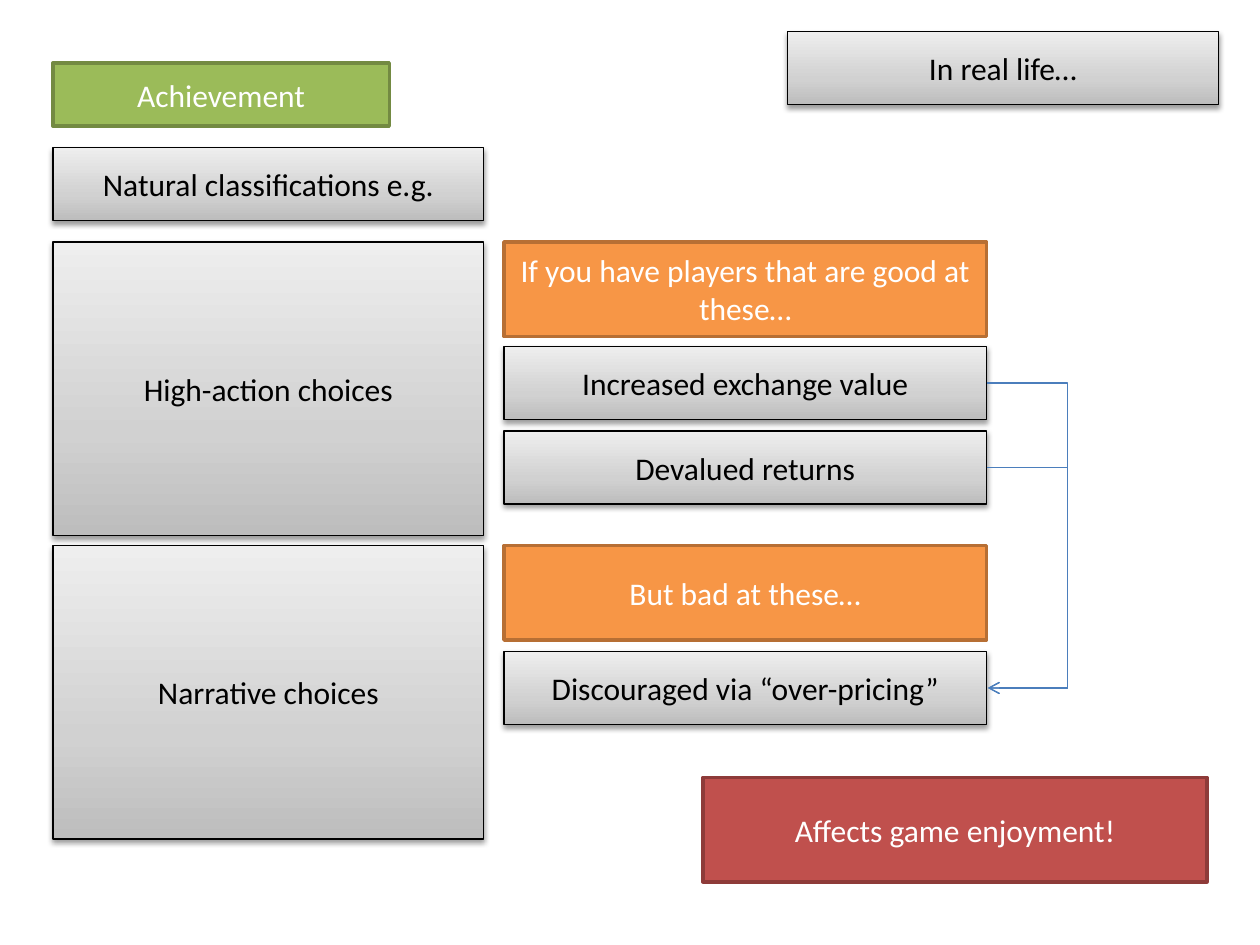
from copy import deepcopy

from lxml import etree
from pptx import Presentation
from pptx import util as u
from pptx.dml.color import RGBColor
from pptx.enum import shapes, text
from pptx.oxml import parse_xml
from pptx.oxml.ns import nsdecls, qn

BLACK = RGBColor(0x00, 0x00, 0x00)
WHITE = RGBColor(0xFF, 0xFF, 0xFF)
GREEN = RGBColor(0x9B, 0xBB, 0x59)
MOSS = RGBColor(0x73, 0x8A, 0x42)
ORANGE = RGBColor(0xF7, 0x96, 0x46)
RUST = RGBColor(0xB7, 0x6F, 0x34)
RED = RGBColor(0xC0, 0x50, 0x4D)
WINE = RGBColor(0x8E, 0x3B, 0x39)
BLUE = RGBColor(0x4B, 0x7E, 0xBC)
GREYS = [
    (0, RGBColor(0xBD, 0xBD, 0xBD)),
    (0.35, RGBColor(0xD1, 0xD1, 0xD1)),
    (1, RGBColor(0xEE, 0xEE, 0xEE)),
]


def write(shape, words, font="Calibri", size=18, color=BLACK):
    frame = shape.text_frame
    frame.word_wrap = True
    frame.vertical_anchor = text.MSO_ANCHOR.MIDDLE
    para = frame.paragraphs[0]
    para.alignment = text.PP_ALIGN.CENTER
    run = para.add_run()
    run.text = words
    run.font.name = font
    run.font.size = u.Pt(size)
    run.font.color.rgb = color


class Board:
    def __init__(self, slide):
        self.slide = slide

    def rect(self, words, place, edge, width, color):
        box = self.slide.shapes.add_shape(
            shapes.MSO_SHAPE.RECTANGLE, *map(u.Inches, place))
        box.shadow.inherit = False
        box.line.color.rgb = edge
        box.line.width = u.Pt(width)
        write(box, words, color=color)
        return box

    def flat(self, words, place, fill, edge):
        box = self.rect(words, place, edge, 2, WHITE)
        box.fill.solid()
        box.fill.fore_color.rgb = fill

    def grey(self, words, place):
        box = self.rect(words, place, BLACK, 0.75, BLACK)
        box.fill.gradient()
        box.fill.gradient_angle = 90
        stops = box._element.spPr.find(".//" + qn("a:gsLst"))
        stops.append(deepcopy(stops[0]))
        for stop, (pos, color) in zip(box.fill.gradient_stops, GREYS):
            stop.position = pos
            stop.color.rgb = color
        # Soft shadow straight below the box
        box._element.spPr.find(qn("a:effectLst")).append(parse_xml(
            f'<a:outerShdw {nsdecls("a")} blurRad="{u.Pt(3.1)}" '
            f'dist="{u.Pt(1.6)}" dir="5400000" rotWithShape="0">'
            '<a:srgbClr val="000000"><a:alpha val="38000"/></a:srgbClr>'
            '</a:outerShdw>'))

    def elbow(self, x, top, end, reach, span=0.01):
        link = self.slide.shapes.add_connector(
            shapes.MSO_CONNECTOR.ELBOW,
            *map(u.Inches, (x, top, x + span, end)))
        link.line.color.rgb = BLUE
        link.line.width = u.Pt(0.75)
        props = link._element.spPr
        # The bend lies far outside the narrow span
        bend = etree.SubElement(props.find(".//" + qn("a:avLst")), qn("a:gd"))
        bend.set("name", "adj1")
        bend.set("fmla", f"val {round(reach / span * 100000)}")
        tail = etree.SubElement(props.find(qn("a:ln")), qn("a:tailEnd"))
        tail.set("type", "arrow")
        etree.SubElement(props, qn("a:effectLst"))


def main():
    deck = Presentation()
    deck.slide_width, deck.slide_height = u.Inches(10), u.Inches(7.5)
    board = Board(deck.slides.add_slide(deck.slide_layouts[6]))

    left, mid = 0.42, 4
    wide, span = 3.42, 3.83
    low, tall = 0.58, 2.33
    good, bad = 1.92, 4.33

    # Headings
    board.flat("Achievement", (left, 0.5, 2.67, 0.5), GREEN, MOSS)
    board.grey("Natural classifications e.g.", (left, 1.17, wide, low))
    board.grey("In real life…", (6.25, 0.25, wide, low))

    # Kinds of choice
    board.grey("High-action choices", (left, good, wide, tall))
    board.grey("Narrative choices", (left, bad, wide, tall))

    # Player skill
    board.flat("If you have players that are good at these…",
               (mid, good, span, 0.75), ORANGE, RUST)
    board.flat("But bad at these…", (mid, bad, span, 0.75), ORANGE, RUST)

    # Effects
    gain, loss, cost = 2.75, 3.42, 5.17
    for words, top in (
        ("Increased exchange value", gain),
        ("Devalued returns", loss),
        ("Discouraged via “over-pricing”", cost),
    ):
        board.grey(words, (mid, top, span, low))

    # Links from both causes to the result
    for top in (loss, gain):
        board.elbow(mid + span, top + low / 2, cost + low / 2, 0.65)

    # Outcome
    board.flat("Affects game enjoyment!", (5.58, 6.17, 4, 0.83), RED, WINE)

    deck.save("out.pptx")


if __name__ == "__main__":
    main()
